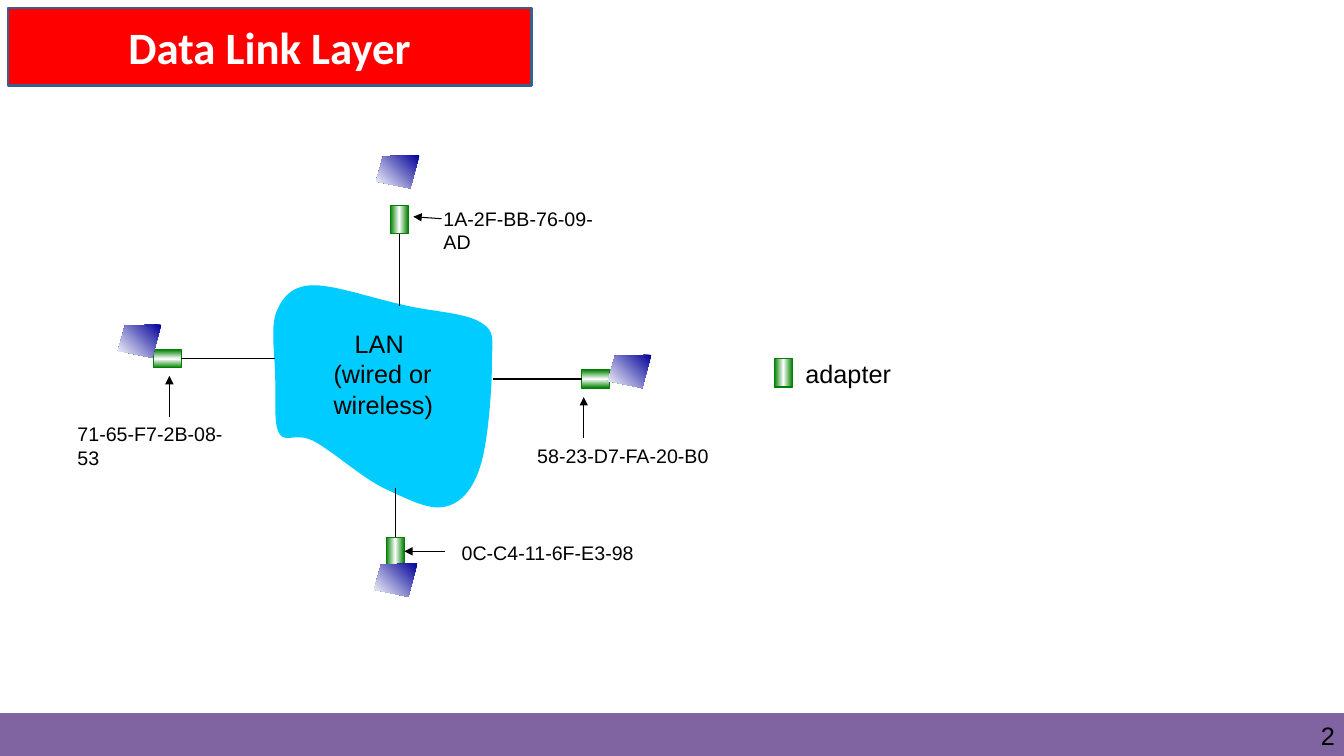
"""Builds a slide of LAN stations with their adapter addresses."""
from copy import deepcopy

from pptx import Presentation
from pptx.dml.color import RGBColor
from pptx.enum.shapes import MSO_CONNECTOR, MSO_SHAPE
from pptx.enum.text import MSO_ANCHOR, PP_ALIGN
from pptx.oxml.ns import qn
from pptx.oxml.xmlchemy import OxmlElement
from pptx.util import Inches, Pt

TOP, LEFT, BOTTOM, RIGHT = range(4)


def color(code):
    """Turn a hex string into a colour."""
    return RGBColor.from_string(code)


def write(frame, text, size=18, font="Arial", ink="000000", bold=False,
          align=PP_ALIGN.LEFT, anchor=MSO_ANCHOR.TOP, wrap=False, inset=None,
          first=0):
    """Fill a text frame, one paragraph a line; first indents the first one."""
    frame.word_wrap = wrap
    frame.vertical_anchor = anchor
    if inset is not None:
        frame.margin_left = frame.margin_right = Inches(inset)
        frame.margin_top = frame.margin_bottom = Inches(inset)
    for i, line in enumerate(text.split("\n")):
        para = frame.add_paragraph() if i else frame.paragraphs[0]
        if first and i == 0:
            para._p.get_or_add_pPr().set("marL", str(Inches(first)))
        para.alignment = align
        run = para.add_run()
        run.text = line
        run.font.name, run.font.size = font, Pt(size)
        run.font.bold = bold
        run.font.color.rgb = color(ink)


class Board:
    """Holds the slide and the style of its elements."""

    black, green, blue, white = "000000", "008000", "000099", "FFFFFF"
    thin = 0.75

    def __init__(self, slide):
        """Keep the current slide."""
        self.slide = slide
        self.shapes = slide.shapes

    def paint(self, shape, fill, line=None, width=thin, angle=0):
        """Set a solid fill, or a gradient from a list, and the line."""
        shape.shadow.inherit = False
        if isinstance(fill, str):
            shape.fill.solid()
            shape.fill.fore_color.rgb = color(fill)
        else:
            shape.fill.gradient()
            shape.fill.gradient_angle = angle
            stops = shape._element.spPr.find(".//" + qn("a:gsLst"))
            for _ in fill[2:]:
                stops.append(deepcopy(stops[0]))
            for i, stop in enumerate(shape.fill.gradient_stops):
                stop.color.rgb = color(fill[i])
                stop.position = i / (len(fill) - 1)
        if line:
            shape.line.color.rgb = color(line)
            shape.line.width = Pt(width)
        else:
            shape.line.fill.background()
        return shape

    def title(self, text, x, y, w, h):
        """Place and format the title placeholder."""
        head = self.shapes.title
        head.left, head.top, head.width, head.height = map(Inches, (x, y, w, h))
        head.fill.solid()
        head.fill.fore_color.rgb = color("FF0000")
        head.line.color.rgb = color("3A5F8C")
        head.line.width = Pt(2)
        write(head.text_frame, text, size=32, font="Calibri", ink=self.white,
              bold=True, align=PP_ALIGN.CENTER, anchor=MSO_ANCHOR.MIDDLE,
              wrap=True)

    def rect(self, x, y, w, h, fill, line, **look):
        """Add a rectangle."""
        box = self.shapes.add_shape(MSO_SHAPE.RECTANGLE,
                                    *map(Inches, (x, y, w, h)))
        return self.paint(box, fill, line, **look)

    def label(self, text, x, y, w, h, **form):
        """Add a text box."""
        box = self.shapes.add_textbox(*map(Inches, (x, y, w, h)))
        write(box.text_frame, text, **form)

    def shape(self, points, fill, **look):
        """Add a closed outline through points."""
        dots = [(Inches(x), Inches(y)) for x, y in points]
        pen = self.shapes.build_freeform(*dots[0])
        pen.add_line_segments(dots[1:], close=True)
        return self.paint(pen.convert_to_shape(), fill, **look)

    def cloud(self, start, curves, fill):
        """Add an outline of cubic curves."""
        points = [start]
        for b, c, d in curves:
            a = points[-1]
            for t in [i / 12 for i in range(1, 13)]:
                s = 1 - t
                points.append(tuple(
                    s ** 3 * a[k] + 3 * s * s * t * b[k]
                    + 3 * s * t * t * c[k] + t ** 3 * d[k] for k in (0, 1)))
        self.shape(points, fill)

    def adapter(self, x, y, flat=False):
        """Add an adapter, upright or flat."""
        w, h = (0.28, 0.18) if flat else (0.18, 0.28)
        return self.rect(x, y, w, h, [self.green, self.white, self.green],
                         self.green, angle=90 if flat else 0)

    def screen(self, x, y):
        """Add a slanted screen."""
        form = [(0.43, 0), (0.07, 0.01), (0, 0.26), (0.34, 0.33)]
        self.shape([(x + dx, y + dy) for dx, dy in form],
                   [self.blue, self.white], angle=225)

    def link(self, start, end, head=None, tail=None, arrow=False):
        """Add a line; head and tail are (shape, side) joins."""
        line = self.shapes.add_connector(MSO_CONNECTOR.STRAIGHT,
                                         *map(Inches, (*start, *end)))
        if head:
            line.begin_connect(*head)
        if tail:
            line.end_connect(*tail)
        line.line.color.rgb = color(self.black)
        line.line.width = Pt(self.thin)
        if arrow:
            tip = OxmlElement("a:tailEnd")
            tip.set("type", "triangle")
            line.line._get_or_add_ln().append(tip)
        line._element.spPr.append(OxmlElement("a:effectLst"))


CLOUD = [
    ((2.89, 2.84), (2.8, 2.95), (2.74, 3.1)),
    ((2.68, 3.25), (2.73, 3.55), (2.73, 3.75)),
    ((2.74, 3.95), (2.71, 4.2), (2.77, 4.3)),
    ((2.83, 4.4), (2.93, 4.29), (3.1, 4.37)),
    ((3.28, 4.46), (3.58, 4.73), (3.8, 4.84)),
    ((4.02, 4.94), (4.24, 5.06), (4.4, 5.03)),
    ((4.56, 5), (4.68, 4.88), (4.76, 4.64)),
    ((4.84, 4.41), (4.88, 3.86), (4.88, 3.61)),
    ((4.88, 3.37), (4.92, 3.29), (4.77, 3.2)),
    ((4.62, 3.1), (4.25, 3.09), (3.98, 3.02)),
    ((3.7, 2.96), (3.3, 2.82), (3.09, 2.83)),
]

# adapter, flat, side, LAN end, screen, arrow, joined side, address, box, wrap
HOSTS = [
    ((1.52, 3.47), True, RIGHT, (2.73, 3.56), (1.17, 3.22),
     ((1.68, 4.14), (1.68, 3.73)), None,
     "71-65-F7-2B-08-53", (0.67, 4.14, 1.8), True),
    ((3.83, 5.33), False, TOP, (3.92, 4.84), (3.71, 5.59),
     ((4.41, 5.47), (4.01, 5.47)), RIGHT,
     "0C-C4-11-6F-E3-98", (4.48, 5.32, 1.91), False),
    ((3.87, 2.04), False, BOTTOM, (3.96, 3.04), (3.73, 1.54),
     ((4.38, 2.17), (4.1, 2.15)), None,
     "1A-2F-BB-76-09-AD", (4.3, 2, 1.9), True),
    ((5.77, 3.67), True, LEFT, (4.89, 3.76), (6.03, 3.52),
     ((5.79, 4.35), (5.79, 3.94)), None,
     "58-23-D7-FA-20-B0", (5.23, 4.35, 1.9), False),
]


def main():
    """Build and save the slide."""
    deck = Presentation()
    deck.slide_width, deck.slide_height = Inches(13.33), Inches(7.5)
    board = Board(deck.slides.add_slide(deck.slide_layouts[5]))
    board.rect(0, 7.08, 13.33, 0.42, "8063A1", "8063A1", width=1)
    board.label("2", 13.1, 7.15, 0.2, 0.31, inset=0)
    board.title("Data Link Layer", 0.08, 0.08, 5.19, 0.77)
    board.cloud((3.09, 2.83), CLOUD, "00CCFF")
    board.label("LAN\n(wired or\nwireless)", 3.21, 3.21, 1.19, 1, first=0.21)
    for spot, flat, side, end, screen, arrow, join, text, box, wrap in HOSTS:
        card = board.adapter(*spot, flat=flat)
        board.screen(*screen)
        board.link(spot, end, head=(card, side))
        board.link(*arrow, tail=None if join is None else (card, join),
                   arrow=True)
        board.label(text, *box, 0.33, size=14, wrap=wrap)
    board.adapter(7.68, 3.56)
    board.label("adapter", 7.89, 3.51, 1.05, 0.4)
    deck.save("out.pptx")


if __name__ == "__main__":
    main()
